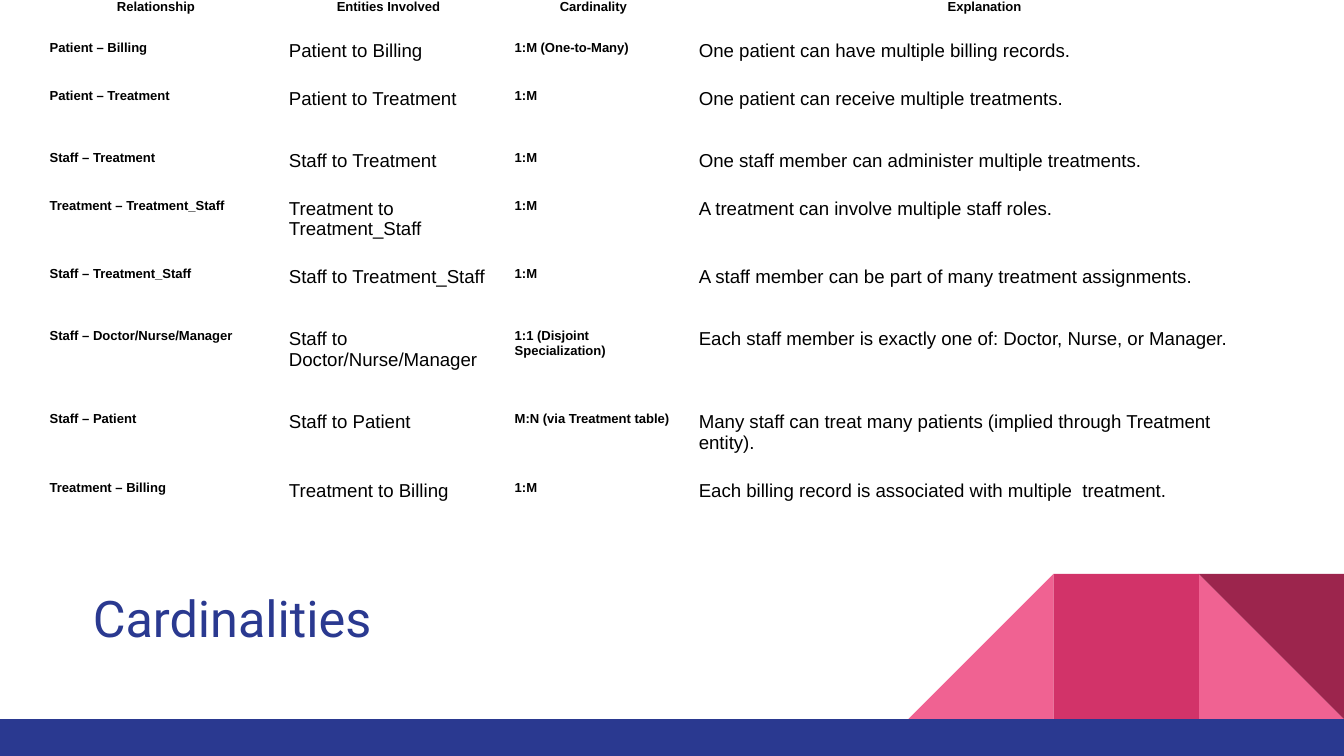
from pptx import Presentation
from pptx.dml.color import RGBColor
from pptx.enum.shapes import MSO_SHAPE as SHAPE
from pptx.enum.text import MSO_ANCHOR as ANCHOR, PP_ALIGN as ALIGN
from pptx.util import Inches, Pt

# Content
TITLE = "Cardinalities"
HEADER = ("Relationship", "Entities Involved", "Cardinality", "Explanation")
ROWS = [
    ("Patient – Billing", "Patient to Billing", "1:M (One-to-Many)",
     "One patient can have multiple billing records."),
    ("Patient – Treatment", "Patient to Treatment", "1:M",
     "One patient can receive multiple treatments."),
    ("Staff – Treatment", "Staff to Treatment", "1:M",
     "One staff member can administer multiple treatments."),
    ("Treatment – Treatment_Staff", "Treatment to Treatment_Staff", "1:M",
     "A treatment can involve multiple staff roles."),
    ("Staff – Treatment_Staff", "Staff to Treatment_Staff", "1:M",
     "A staff member can be part of many treatment assignments."),
    ("Staff – Doctor/Nurse/Manager", "Staff to Doctor/Nurse/Manager",
     "1:1 (Disjoint Specialization)",
     "Each staff member is exactly one of: Doctor, Nurse, or Manager."),
    ("Staff – Patient", "Staff to Patient", "M:N (via Treatment table)",
     "Many staff can treat many patients (implied through Treatment entity)."),
    ("Treatment – Billing", "Treatment to Billing", "1:M",
     "Each billing record is associated with multiple  treatment."),
]

# Layout in inches, on a 16:9 slide
W = 10
H = W * 9 / 16
BAR_TOP = 5.35
TILE = 1.08
COL_WIDTHS = (1.78, 1.68, 1.37, 4.45)
ROW_HEIGHTS = (0.31, 0.34, 0.46, 0.34, 0.49, 0.46, 0.62, 0.49, 0.65)
KEY_COLS = (0, 2)  # small bold columns

PINK, ROSE, WINE, NAVY = "F06292", "D23369", "9C254D", "2A3990"
# Tiles: shape, columns from the right edge, colour, flipped, rotation
TILES = [
    (SHAPE.RIGHT_TRIANGLE, 1, PINK, False, 0),
    (SHAPE.RIGHT_TRIANGLE, 3, PINK, True, 0),
    (SHAPE.RECTANGLE, 2, ROSE, False, 0),
    (SHAPE.RIGHT_TRIANGLE, 1, WINE, False, 180),
]


def rgb(value):
    return RGBColor.from_string(value)


def box(*lengths):
    return [Inches(v) for v in lengths]


def add_block(slide, kind, place, color):
    sp = slide.shapes.add_shape(kind, *box(*place))
    sp.shadow.inherit = False
    sp.fill.solid()
    sp.fill.fore_color.rgb = rgb(color)
    sp.line.fill.background()
    return sp


def set_font(p, name, size, color, bold=False):
    p.font.name, p.font.size, p.font.bold = name, Pt(size), bold
    p.font.color.rgb = rgb(color)


def set_margins(target):
    target.margin_left = target.margin_right = Inches(0.1)
    target.margin_top = target.margin_bottom = Inches(0.1)


def add_decoration(slide):
    for kind, column, color, flipped, rotation in TILES:
        place = (W - column * TILE, BAR_TOP - TILE, TILE, TILE)
        sp = add_block(slide, kind, place, color)
        sp.rotation = rotation
        if flipped:
            sp._element.spPr.xfrm.set("flipH", "1")
    add_block(slide, SHAPE.RECTANGLE, (0, BAR_TOP, W, H - BAR_TOP), NAVY)


def add_title(slide):
    title = slide.shapes.title
    title.left, title.top, title.width, title.height = box(0.59, 4.27, 2.43, 0.92)
    tf = title.text_frame
    tf.text = TITLE
    tf.word_wrap = True
    tf.vertical_anchor = ANCHOR.TOP
    set_margins(tf)
    p = tf.paragraphs[0]
    p.alignment = ALIGN.LEFT
    set_font(p, "Roboto", 27, NAVY)


def add_relationships(slide):
    data = [HEADER] + ROWS
    place = box(0.27, -0.12, sum(COL_WIDTHS), sum(ROW_HEIGHTS))
    table = slide.shapes.add_table(len(data), len(HEADER), *place).table
    table.first_row = table.horz_banding = False
    for column, width in zip(table.columns, COL_WIDTHS):
        column.width = Inches(width)
    for row, height in zip(table.rows, ROW_HEIGHTS):
        row.height = Inches(height)
    for r, texts in enumerate(data):
        for c, text in enumerate(texts):
            cell = table.cell(r, c)
            cell.text = text
            cell.fill.background()
            set_margins(cell)
            p = cell.text_frame.paragraphs[0]
            strong = r == 0 or c in KEY_COLS
            set_font(p, "Arial", 7 if strong else 10, "000000", strong)
            if r == 0:
                p.alignment = ALIGN.CENTER
                p.line_spacing = 1.15


def main():
    prs = Presentation()
    prs.slide_width, prs.slide_height = box(W, H)
    slide = prs.slides.add_slide(prs.slide_layouts[5])
    add_decoration(slide)
    add_title(slide)
    add_relationships(slide)
    prs.save("out.pptx")


if __name__ == "__main__":
    main()
